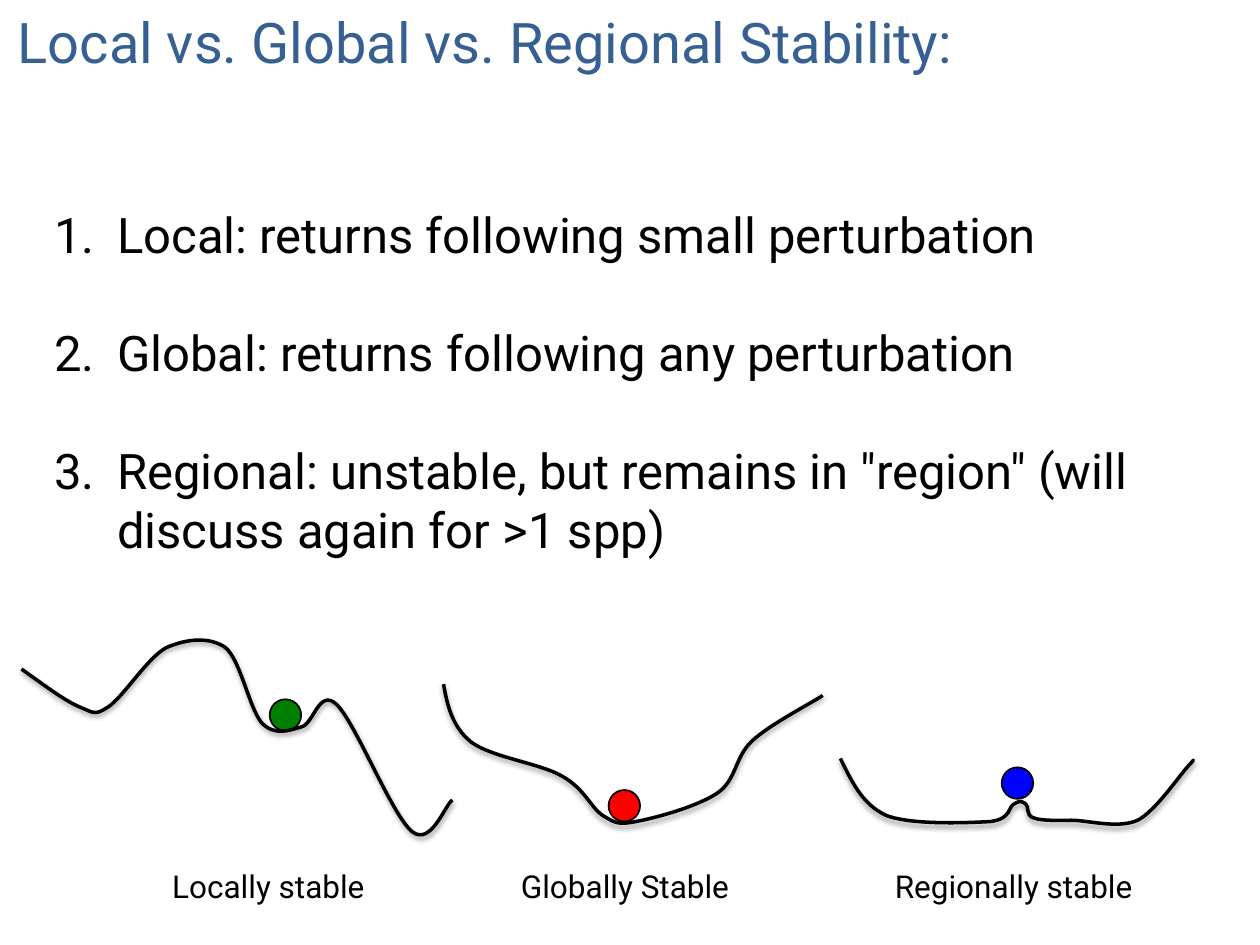
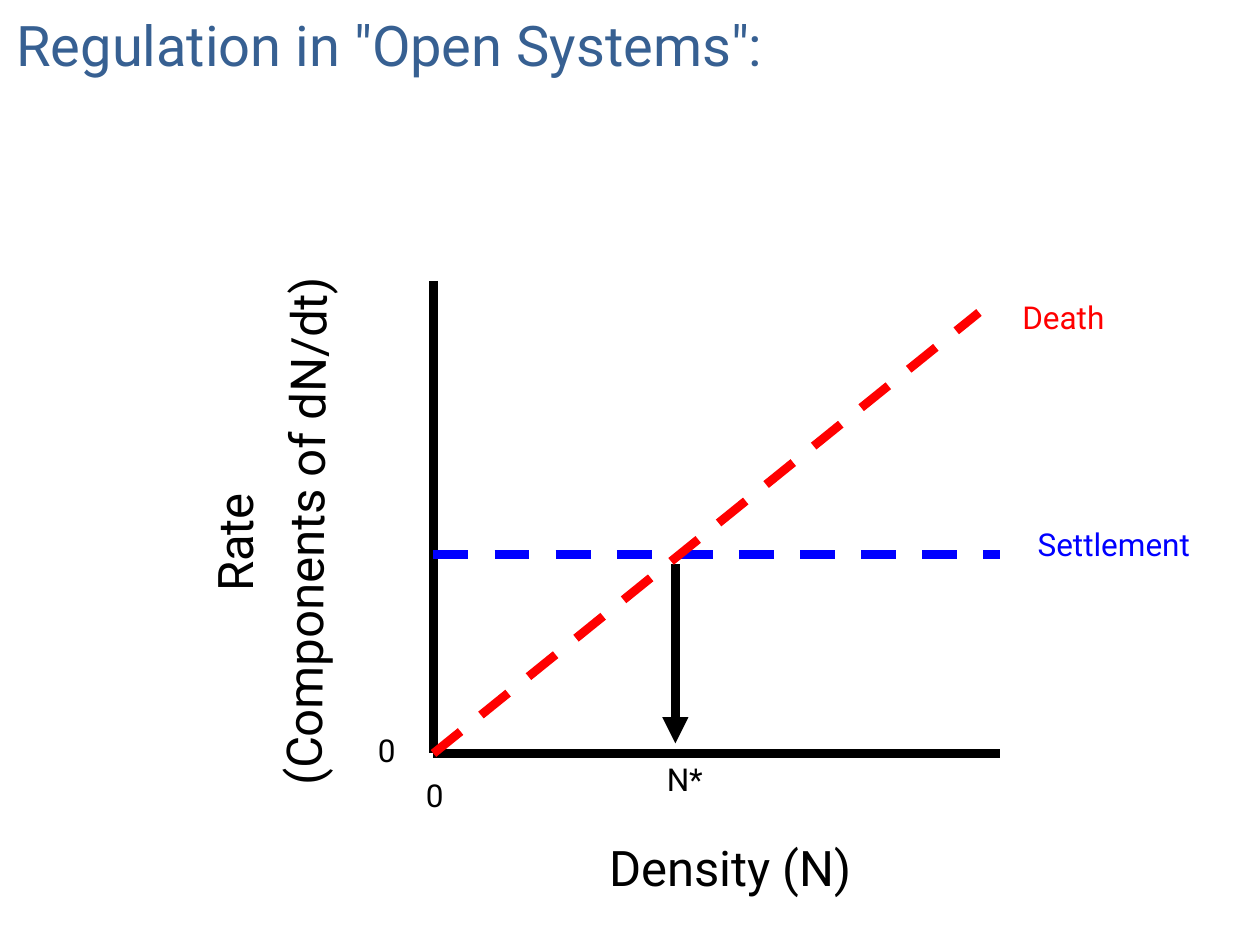
from dataclasses import dataclass
from typing import Any

from lxml.etree import SubElement
from pptx import Presentation
from pptx.dml.color import RGBColor
from pptx.enum.dml import MSO_LINE
from pptx.enum.shapes import MSO_CONNECTOR, MSO_SHAPE
from pptx.enum.text import MSO_ANCHOR, MSO_AUTO_SIZE, PP_ALIGN
from pptx.oxml.ns import qn
from pptx.util import Cm, Pt

# Shared look
FONT = "Roboto"
TITLE_BLUE, BLACK, WHITE = "376092", "000000", "FFFFFF"
GREEN, RED, BLUE = "008000", "FF0000", "0000FF"
TITLE_SIZE, TEXT_SIZE, LABEL_SIZE = 32, 28, 18
GRID = 2.54  # centimetres in one grid step; all places are in grid steps
BALL_SIZE = 0.25

Point = tuple[float, float]
Area = tuple[float, float, float, float]


@dataclass(frozen=True)
class Label:
    text: str
    area: Area
    size: int = LABEL_SIZE
    color: str = BLACK
    rotation: float = 0
    wrap: bool = False


@dataclass(frozen=True)
class Stroke:
    start: Point
    end: Point
    color: str = BLACK
    dashed: bool = False
    arrow: bool = False


@dataclass(frozen=True)
class Landscape:
    """A ball on a curve; the curve is a start point and Bezier triples."""
    label: Label
    ball: Point
    color: str
    area: Area
    curve: list[Point]


def rgb(color: str) -> RGBColor:
    return RGBColor.from_string(color)


def steps(value: float) -> Cm:
    return Cm(value * GRID)


def set_formats(target: Any, formats: dict[str, Any]) -> None:
    for name, value in formats.items():
        setattr(target, name, value)


def place(shape: Any, area: Area) -> None:
    names = ("left", "top", "width", "height")
    set_formats(shape, dict(zip(names, map(steps, area))))


def write(para: Any, text: str, size: int, color: str) -> None:
    span = para.add_run()
    span.text = text
    set_formats(span.font, {"name": FONT, "size": Pt(size), "bold": False})
    span.font.color.rgb = rgb(color)


def format_frame(frame: Any, wrap: bool = True) -> None:
    set_formats(frame, {"word_wrap": wrap, "auto_size": MSO_AUTO_SIZE.NONE,
                        "vertical_anchor": MSO_ANCHOR.TOP})


def add_page(deck: Any, layout: int, title: str, area: Area) -> Any:
    page = deck.slides.add_slide(deck.slide_layouts[layout])
    page.background.fill.solid()
    page.background.fill.fore_color.rgb = rgb(WHITE)
    box = page.shapes.title
    place(box, area)
    format_frame(box.text_frame)
    para = box.text_frame.paragraphs[0]
    para.alignment = PP_ALIGN.LEFT
    write(para, title, TITLE_SIZE, TITLE_BLUE)
    return page


def fill_numbered_list(box: Any, area: Area, items: list[str]) -> None:
    place(box, area)
    frame = box.text_frame
    format_frame(frame)
    for index, item in enumerate(items):
        para = frame.add_paragraph() if index else frame.paragraphs[0]
        properties = para._p.get_or_add_pPr()
        properties.set("marL", str(steps(0.5)))
        properties.set("indent", str(-steps(0.5)))
        SubElement(properties, qn("a:buFont"), typeface=FONT)
        SubElement(properties, qn("a:buAutoNum"), type="arabicPeriod")
        set_formats(para, {"alignment": PP_ALIGN.LEFT,
                           "space_before": Pt(34 if index else 0)})
        write(para, item, TEXT_SIZE, BLACK)


def add_label(page: Any, label: Label) -> None:
    box = page.shapes.add_textbox(*map(steps, label.area))
    box.rotation = label.rotation
    format_frame(box.text_frame, label.wrap)
    para = box.text_frame.paragraphs[0]
    para.alignment = PP_ALIGN.CENTER
    write(para, label.text, label.size, label.color)


def add_stroke(page: Any, stroke: Stroke) -> None:
    line = page.shapes.add_connector(
        MSO_CONNECTOR.STRAIGHT, *map(steps, stroke.start + stroke.end))
    line.line.color.rgb = rgb(stroke.color)
    line.line.width = Pt(5)
    if stroke.dashed:
        line.line.dash_style = MSO_LINE.DASH
    if stroke.arrow:
        SubElement(line.line._get_or_add_ln(), qn("a:tailEnd"), type="triangle")
    SubElement(line._element.spPr, qn("a:effectLst"))


def add_ball(page: Any, corner: Point, color: str) -> None:
    area = corner + (BALL_SIZE, BALL_SIZE)
    ball = page.shapes.add_shape(MSO_SHAPE.OVAL, *map(steps, area))
    ball.shadow.inherit = False
    ball.fill.solid()
    ball.fill.fore_color.rgb = rgb(color)
    ball.line.color.rgb = rgb(BLACK)
    ball.line.width = Pt(1)


def bend(curve: Any, area: Area, points: list[Point]) -> None:
    """Turn the straight outline of a freeform into Bezier segments."""
    place(curve, area)
    left, top, width, height = area
    outline = curve._element.spPr.find(".//" + qn("a:path"))
    outline.clear()
    set_size = {"w": width, "h": height}
    for name, value in set_size.items():
        outline.set(name, str(steps(value)))
    segments = [("a:moveTo", points[:1])]
    segments += [("a:cubicBezTo", points[first:first + 3])
                 for first in range(1, len(points), 3)]
    for tag, corners in segments:
        segment = SubElement(outline, qn(tag))
        for x, y in corners:
            SubElement(segment, qn("a:pt"),
                       x=str(steps(x - left)), y=str(steps(y - top)))


def add_curve(page: Any, area: Area, points: list[Point]) -> None:
    builder = page.shapes.build_freeform(*map(steps, points[0]))
    builder.add_line_segments(
        [(steps(x), steps(y)) for x, y in points[3::3]], close=False)
    curve = builder.convert_to_shape()
    bend(curve, area, points)
    curve.fill.background()
    curve.line.color.rgb = rgb(BLACK)
    curve.line.width = Pt(2)
    # Soft shadow straight below the curve
    curve.shadow.inherit = False
    effects = curve._element.spPr.find(qn("a:effectLst"))
    shadow = SubElement(effects, qn("a:outerShdw"), blurRad=str(Pt(3.1)),
                        dist=str(Pt(1.6)), dir="5400000", rotWithShape="0")
    tint = SubElement(shadow, qn("a:srgbClr"), val=BLACK)
    SubElement(tint, qn("a:alpha"), val="38000")


# Stability page
DEFINITIONS = [
    "Local: returns following small perturbation",
    "Global: returns following any perturbation",
    'Regional: unstable, but remains in "region" (will discuss again for >1 spp)',
]
LOCAL = Landscape(
    Label("Locally stable", (0.67, 6.83, 2.92, 0.4), wrap=True),
    (2.14, 5.55), GREEN, (0.17, 5.08, 3.42, 1.55),
    [(0.17, 5.31),
     (0.34, 5.43), (0.51, 5.56), (0.63, 5.61),
     (0.75, 5.66), (0.75, 5.68), (0.86, 5.61),
     (0.98, 5.53), (1.17, 5.22), (1.32, 5.14),
     (1.48, 5.07), (1.66, 5.05), (1.79, 5.14),
     (1.91, 5.24), (1.98, 5.63), (2.08, 5.74),
     (2.18, 5.84), (2.29, 5.8), (2.39, 5.77),
     (2.49, 5.75), (2.53, 5.46), (2.67, 5.59),
     (2.82, 5.73), (3.11, 6.47), (3.27, 6.6),
     (3.42, 6.72), (3.53, 6.39), (3.59, 6.35)])
GLOBAL = Landscape(
    Label("Globally Stable", (3.5, 6.83, 2.92, 0.4), wrap=True),
    (4.83, 6.27), RED, (3.52, 5.43, 3.01, 1.11),
    [(3.52, 5.43),
     (3.55, 5.6), (3.59, 5.77), (3.74, 5.89),
     (3.9, 6.01), (4.29, 6.06), (4.46, 6.16),
     (4.64, 6.26), (4.69, 6.41), (4.78, 6.47),
     (4.88, 6.53), (4.9, 6.55), (5.05, 6.52),
     (5.21, 6.49), (5.54, 6.4), (5.7, 6.29),
     (5.85, 6.18), (5.83, 6.01), (5.97, 5.88),
     (6.11, 5.75), (6.44, 5.58), (6.53, 5.52)])
REGIONAL = Landscape(
    Label("Regionally stable", (6.42, 6.83, 3.25, 0.4), wrap=True),
    (7.95, 6.09), BLUE, (6.67, 6.02, 2.8, 0.52),
    [(6.67, 6.02),
     (6.76, 6.2), (6.84, 6.38), (7.03, 6.47),
     (7.23, 6.55), (7.69, 6.53), (7.86, 6.52),
     (8.03, 6.5), (8, 6.4), (8.05, 6.38),
     (8.1, 6.35), (8.11, 6.36), (8.14, 6.38),
     (8.17, 6.4), (8.14, 6.47), (8.2, 6.49),
     (8.26, 6.52), (8.5, 6.51), (8.5, 6.51),
     (8.64, 6.51), (8.87, 6.58), (9.03, 6.51),
     (9.18, 6.43), (9.37, 6.14), (9.44, 6.07),
     (9.51, 5.99), (9.45, 6.06), (9.45, 6.06)])
LANDSCAPES = [LOCAL, GLOBAL, REGIONAL]

# Open systems page
ORIGIN: Point = (3.44, 5.98)
AXIS_RIGHT, AXIS_TOP, SETTLEMENT_RATE = 7.94, 2.23, 4.4
GRAPH: list[Label | Stroke] = [
    Stroke((ORIGIN[0], AXIS_TOP), ORIGIN),
    Stroke(ORIGIN, (AXIS_RIGHT, ORIGIN[1])),
    Label("0", (3.28, 6.11, 0.34, 0.4)),
    Label("0", (2.9, 5.75, 0.34, 0.4)),
    Label("Density (N)", (4.73, 6.6, 2.13, 0.57), TEXT_SIZE),
    Label("(Components of dN/dt)", (0.27, 3.93, 4.3, 0.57), TEXT_SIZE,
          rotation=270.6),
    Stroke((5.36, 4.48), (5.36, 5.9), arrow=True),
    Label("Rate", (1.36, 4.02, 0.99, 0.57), TEXT_SIZE, rotation=270),
    Stroke((ORIGIN[0], SETTLEMENT_RATE), (AXIS_RIGHT, SETTLEMENT_RATE),
           BLUE, dashed=True),
    Label("Settlement", (8.12, 4.12, 1.44, 0.4), color=BLUE),
    Label("N*", (5.18, 5.98, 0.51, 0.4)),
    Label("Death", (7.86, 2.32, 1.16, 0.4), color=RED, wrap=True),
    Stroke(ORIGIN, (7.77, 2.48), RED, dashed=True),
]


def add_stability_page(deck: Any) -> None:
    page = add_page(deck, 1, "Local vs. Global vs. Regional Stability:",
                    (0.04, 0.01, 8.75, 0.64))
    fill_numbered_list(page.placeholders[1], (0.33, 1.57, 9.67, 2.93), DEFINITIONS)
    for landscape in LANDSCAPES:
        add_ball(page, landscape.ball, landscape.color)
        add_label(page, landscape.label)
        add_curve(page, landscape.area, landscape.curve)


def add_open_systems_page(deck: Any) -> None:
    page = add_page(deck, 5, 'Regulation in "Open Systems":',
                    (0.03, 0.03, 6.85, 0.64))
    for part in GRAPH:
        if isinstance(part, Stroke):
            add_stroke(page, part)
        else:
            add_label(page, part)


def main() -> None:
    deck = Presentation()
    set_formats(deck, {"slide_width": Cm(25.4), "slide_height": Cm(19.05)})
    add_stability_page(deck)
    add_open_systems_page(deck)
    deck.save("out.pptx")


if __name__ == "__main__":
    main()
